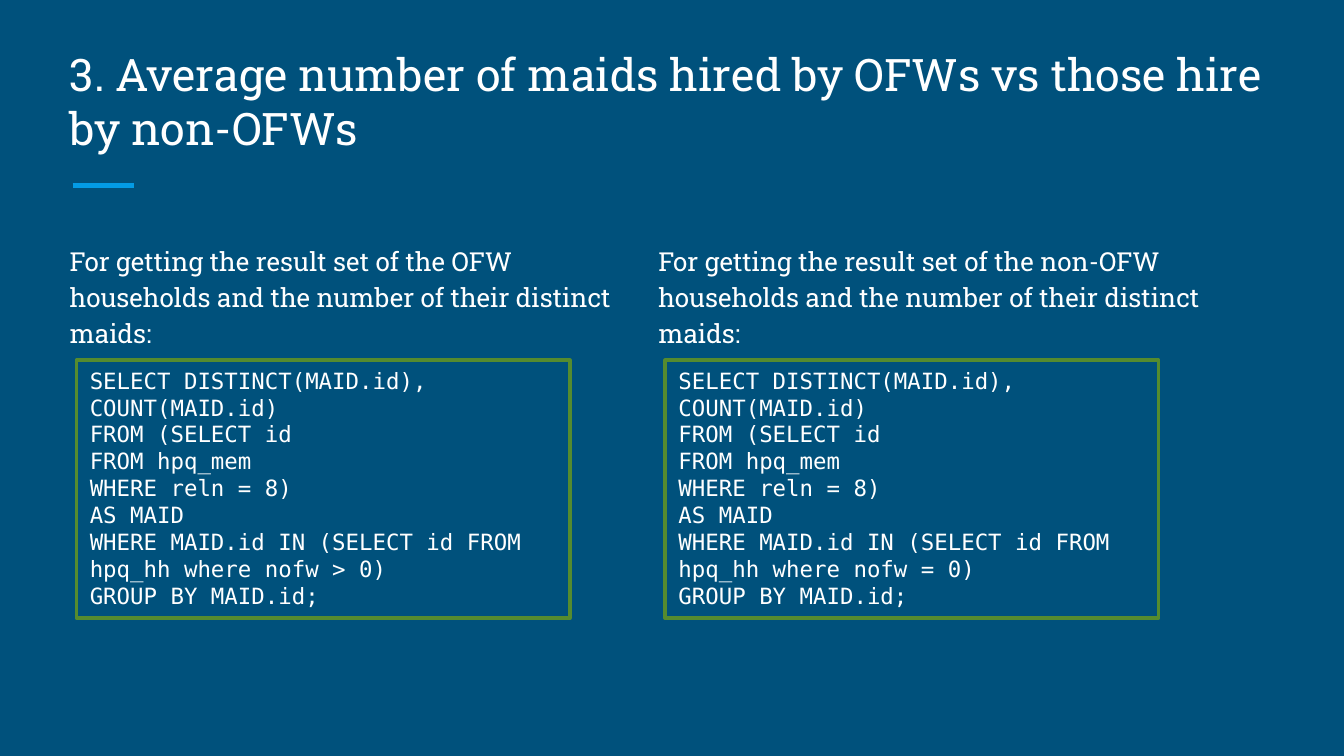
"""Build a slide comparing two SQL queries for the number of maids hired."""
from dataclasses import dataclass

from lxml import etree
from pptx import Presentation
from pptx import util as u
from pptx.dml.color import RGBColor
from pptx.enum import shapes, text
from pptx.oxml import ns


@dataclass(frozen=True)
class Theme:
    background: str = "00517C"
    accent: str = "039BE5"
    border: str = "558B2F"
    ink: str = "FFFFFF"
    body_font: str = "Roboto Slab"
    code_font: str = "DejaVu Sans Mono"
    title_size: int = 24
    intro_size: int = 14
    code_size: int = 12


THEME = Theme()
COLUMN_STEP = 4.38
COLUMNS = [("OFW", ">", 4.37), ("non-OFW", "=", 4.56)]


def color(value):
    return RGBColor.from_string(value)


def write(frame, lines, size, font=THEME.body_font, inset=0.1,
          anchor=text.MSO_ANCHOR.TOP, fit=text.MSO_AUTO_SIZE.NONE,
          spacing=1.0, after=0):
    frame.word_wrap = True
    frame.auto_size = fit
    frame.vertical_anchor = anchor
    frame.margin_left = frame.margin_right = u.Inches(0.1)
    frame.margin_top = frame.margin_bottom = u.Inches(inset)
    for index, line in enumerate(lines):
        para = frame.add_paragraph() if index else frame.paragraphs[0]
        para.alignment = text.PP_ALIGN.LEFT
        para.line_spacing = spacing
        para.space_before = u.Pt(0)
        para.space_after = u.Pt(after)
        span = para.add_run()
        span.text = line
        span.font.size = u.Pt(size)
        span.font.name = font
        span.font.color.rgb = color(THEME.ink)


def add_title(page, words):
    title = page.shapes.title
    title.left, title.top = u.Inches(0.42), u.Inches(0.5)
    title.width, title.height = u.Inches(9.15), u.Inches(0.75)
    write(title.text_frame, [words], THEME.title_size,
          anchor=text.MSO_ANCHOR.BOTTOM)


def add_rule(page):
    rule = page.shapes.add_connector(
        shapes.MSO_CONNECTOR.STRAIGHT,
        u.Inches(0.54), u.Inches(1.38), u.Inches(1), u.Inches(1.38))
    rule.line.color.rgb = color(THEME.accent)
    rule.line.width = u.Pt(3)
    etree.SubElement(rule._element.spPr, ns.qn("a:effectLst"))


def add_intro(page, left, width, words):
    box = page.shapes.add_textbox(
        u.Inches(left), u.Inches(1.69), u.Inches(width), u.Inches(0.73))
    write(box.text_frame, [words], THEME.intro_size, spacing=1.15, after=16)


def add_code(page, left, lines):
    box = page.shapes.add_shape(
        shapes.MSO_SHAPE.RECTANGLE,
        u.Inches(left), u.Inches(2.68), u.Inches(3.67), u.Inches(1.92))
    box.shadow.inherit = False
    box.fill.solid()
    box.fill.fore_color.rgb = color(THEME.background)
    box.line.color.rgb = color(THEME.border)
    box.line.width = u.Pt(2)
    outline = box._element.spPr.find(ns.qn("a:ln"))
    etree.SubElement(outline, ns.qn("a:round"))
    write(box.text_frame, lines, THEME.code_size, font=THEME.code_font,
          inset=0.05, fit=text.MSO_AUTO_SIZE.SHAPE_TO_FIT_TEXT)


def query(operator):
    return [
        "SELECT DISTINCT(MAID.id), COUNT(MAID.id)",
        "FROM (SELECT id",
        "FROM hpq_mem",
        "WHERE reln = 8)",
        "AS MAID",
        f"WHERE MAID.id IN (SELECT id FROM hpq_hh where nofw {operator} 0)",
        "GROUP BY MAID.id;",
    ]


def main():
    deck = Presentation()
    deck.slide_width = u.Inches(10)
    deck.slide_height = u.Inches(10) * 9 // 16
    page = deck.slides.add_slide(deck.slide_layouts[5])
    page.background.fill.solid()
    page.background.fill.fore_color.rgb = color(THEME.background)
    add_rule(page)
    add_title(page, "3. Average number of maids hired by OFWs "
                    "vs those hire by non-OFWs")
    for index, (group, operator, width) in enumerate(COLUMNS):
        offset = index * COLUMN_STEP
        add_intro(page, 0.42 + offset, width,
                  f"For getting the result set of the {group} households "
                  "and the number of their distinct maids:")
        add_code(page, 0.57 + offset, query(operator))
    deck.save("out.pptx")


if __name__ == "__main__":
    main()
